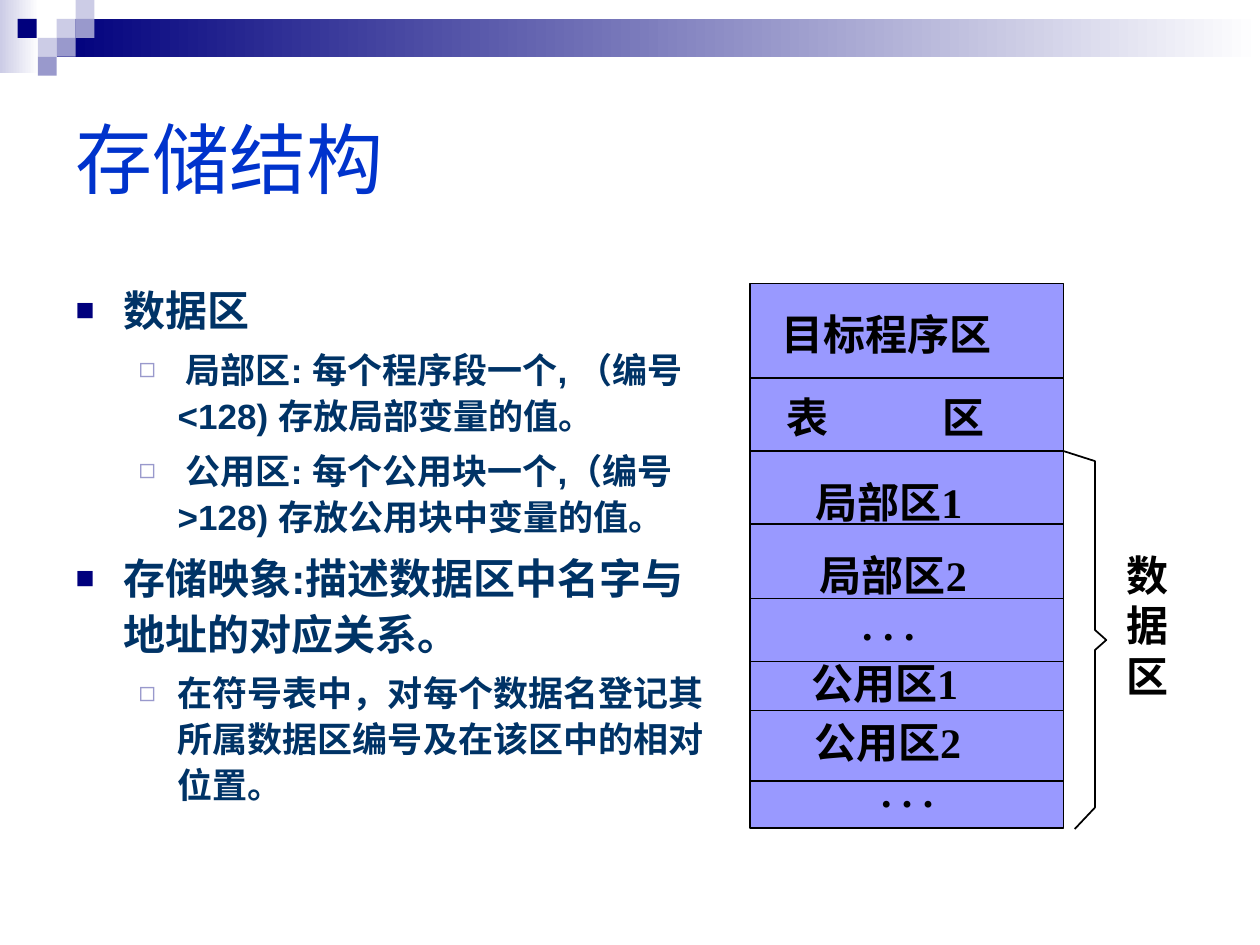
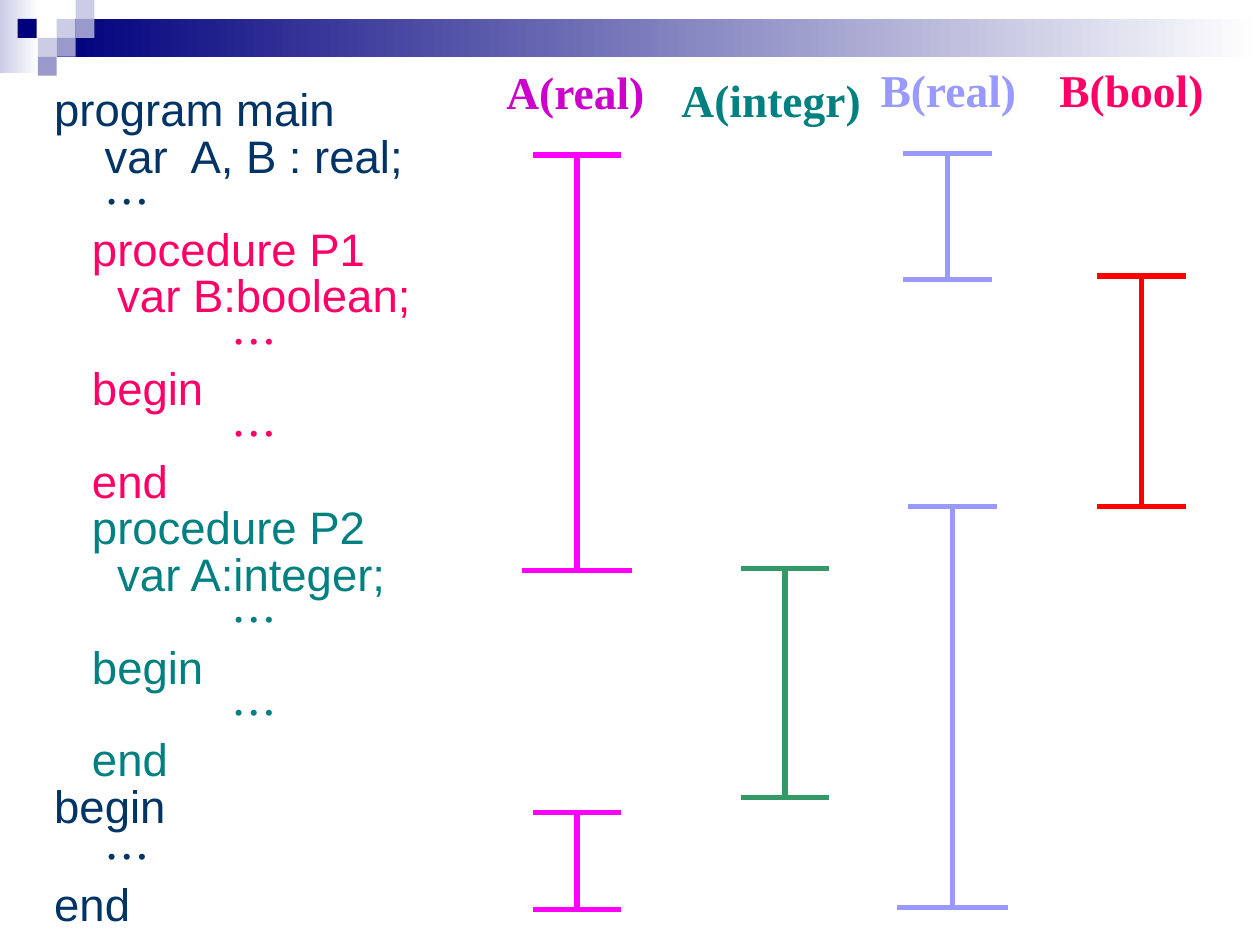
from typing import NamedTuple

from lxml import etree
from pptx import Presentation
from pptx.dml.color import RGBColor
from pptx.enum.shapes import MSO_CONNECTOR, MSO_SHAPE
from pptx.enum.text import MSO_ANCHOR, MSO_AUTO_SIZE, PP_ALIGN
from pptx.oxml.ns import qn
from pptx.util import Inches, Pt

RECTANGLE = MSO_SHAPE.RECTANGLE
STRAIGHT = MSO_CONNECTOR.STRAIGHT
LEFT, CENTER = PP_ALIGN.LEFT, PP_ALIGN.CENTER
MIDDLE, TOP = MSO_ANCHOR.MIDDLE, MSO_ANCHOR.TOP
NO_FIT, GROW = MSO_AUTO_SIZE.NONE, MSO_AUTO_SIZE.SHAPE_TO_FIT_TEXT

SANS, SERIF, CJK = "Arial", "Times New Roman", "Noto Sans CJK SC"
NAVY, PALE, LAVENDER, WHITE = "00007D", "CCCCE6", "9999CC", "FFFFFF"
TITLE_BLUE, INK, BLACK = "0033CC", "003366", "000000"
PERIWINKLE, MAGENTA, PINK, TEAL = "9999FF", "FF00FF", "FF0066", "008080"
PURPLE, RED, GREEN = "CC00CC", "FF0000", "339966"


class Box(NamedTuple):
    left: float
    top: float
    width: float
    height: float


class Tile(NamedTuple):
    left: float
    top: float
    color: str


class Label(NamedTuple):
    text: str
    box: Box
    color: str = BLACK
    size: int = 24
    align: PP_ALIGN = CENTER
    wrap: bool = False


class BulletLevel(NamedTuple):
    size: int
    margin: float
    hanging: float
    before: int
    mark: str
    mark_color: str
    mark_percent: int


class Scope(NamedTuple):
    center: float
    top: float
    bottom: float
    color: str
    foot_half: float = 0.35


HEADER_BANDS = [
    (Box(0, 0, 0.31, 0.58), PALE),
    (Box(0.45, 0.15, 9.55, 0.3), NAVY),
]
HEADER_TILES = [
    Tile(0.45, 0.15, PALE), Tile(0.6, 0, PALE), Tile(0.6, 0.15, LAVENDER),
    Tile(0.3, 0.3, PALE), Tile(0.14, 0.15, NAVY), Tile(0.45, 0.3, LAVENDER),
    Tile(0.3, 0.45, LAVENDER),
]
TILE_SIZE = 0.15

LEVELS = [
    BulletLevel(24, 0.38, 0.38, 6, "■", NAVY, 75),
    BulletLevel(20, 0.81, 0.31, 5, "◻", LAVENDER, 80),
]
STORAGE_POINTS = [
    (0, "数据区"),
    (1, " 局部区: 每个程序段一个, （编号<128) 存放局部变量的值。"),
    (1, " 公用区: 每个公用块一个,（编号>128) 存放公用块中变量的值。"),
    (0, "存储映象:描述数据区中名字与地址的对应关系。"),
    (1, "在符号表中，对每个数据名登记其所属数据区编号及在该区中的相对位置。"),
]

MEMORY = Box(5.95, 2.25, 2.49, 4.32)
REGION_BORDERS = [3, 3.58, 4.16, 4.75, 5.25, 5.64, 6.2]
TABLE_REGION_TAB = 1.24
REGION_LABELS = [
    Label("目标程序区", Box(6.1, 2.4, 1.87, 0.5)),
    Label("表\t区", Box(6.14, 3.06, 1.78, 0.5), align=LEFT, wrap=True),
    Label("局部区1", Box(6.18, 3.73, 1.75, 0.5), wrap=True),
    Label("局部区2", Box(6.26, 4.31, 1.66, 0.5), wrap=True),
    Label(". . .", Box(6.74, 4.7, 0.62, 0.5)),
    Label("公用区1", Box(6.34, 5.17, 1.66, 0.5), align=LEFT, wrap=True),
    Label("公用区2", Box(6.1, 5.64, 1.89, 0.5), wrap=True),
    Label(". . .", Box(6.89, 6.03, 0.62, 0.5)),
    Label("数\n据\n区", Box(8.84, 4.31, 0.54, 1.3), align=LEFT),
]
BRACE_POINTS = [(8.44, 3.58), (8.69, 3.66), (8.69, 5), (8.78, 5.08),
                (8.69, 5.16), (8.69, 6.41), (8.53, 6.58)]

PROGRAM_SECTIONS = [
    (INK, ["program main", "    var  A, B : real;", "    …"]),
    (PINK, ["   procedure P1", "     var B:boolean;", "              …",
            "   begin", "              …", "   end"]),
    (TEAL, ["   procedure P2", "     var A:integer;", "              …",
            "   begin", "              …", "   end"]),
    (INK, ["begin", "    …", "end"]),
]
VARIABLE_LABELS = [
    Label("A(real)", Box(3.92, 0.46, 1.4, 0.54), PURPLE, 26, LEFT, True),
    Label("B(real)", Box(6.89, 0.44, 1.4, 0.54), PERIWINKLE, 26, LEFT, True),
    Label("B(bool)", Box(8.31, 0.44, 1.5, 0.54), PINK, 26, LEFT, True),
    Label("A(integr)", Box(5.31, 0.52, 1.75, 0.54), TEAL, 26, LEFT, True),
]
SCOPE_HALF = 0.35
SCOPES = [
    Scope(4.58, 1.23, 4.53, MAGENTA, 0.44),
    Scope(4.58, 6.45, 7.22, MAGENTA),
    Scope(7.52, 1.22, 2.22, PERIWINKLE),
    Scope(7.56, 4.02, 7.2, PERIWINKLE, 0.44),
    Scope(9.06, 2.19, 4.02, RED),
    Scope(6.23, 4.51, 6.33, GREEN),
]


def rgb(color: str) -> RGBColor:
    """Turn a hex string into a colour."""
    return RGBColor.from_string(color)


def inches(box: Box) -> list:
    """Give the four lengths of a box."""
    return [Inches(value) for value in box]


def add_rectangle(shapes, box: Box):
    """Add a rectangle without shadow or outline."""
    rectangle = shapes.add_shape(RECTANGLE, *inches(box))
    rectangle.shadow.inherit = False
    rectangle.line.fill.background()
    return rectangle


def add_line(shapes, start: tuple, end: tuple, color: str, width: float) -> None:
    """Draw a straight line without shadow."""
    points = [Inches(value) for value in (*start, *end)]
    line = shapes.add_connector(STRAIGHT, *points)
    line.line.color.rgb = rgb(color)
    line.line.width = Pt(width)
    etree.SubElement(line._element.spPr, qn("a:effectLst"))


def add_run(paragraph, text: str, font: str, size: int, color: str, bold: bool = False) -> None:
    """Add one formatted run."""
    run = paragraph.add_run()
    run.text = text
    run.font.size = Pt(size)
    run.font.bold = bold
    run.font.color.rgb = rgb(color)
    run.font.name = font
    etree.SubElement(run._r.get_or_add_rPr(), qn("a:ea"), typeface=CJK)


def next_paragraph(frame, index: int):
    """Return the first paragraph of a frame, or a new one."""
    return frame.add_paragraph() if index else frame.paragraphs[0]


def add_tab(paragraph, stop: float) -> None:
    """Give a paragraph a left tab stop."""
    tabs = etree.SubElement(paragraph._p.get_or_add_pPr(), qn("a:tabLst"))
    etree.SubElement(tabs, qn("a:tab"), pos=str(Inches(stop)), algn="l")


def set_indent(paragraph, margin: float, hanging: float) -> None:
    """Set the left margin and the hanging indent."""
    properties = paragraph._p.get_or_add_pPr()
    properties.set("marL", str(Inches(margin)))
    properties.set("indent", str(-Inches(hanging)))


def add_bullet(paragraph, level: BulletLevel) -> None:
    """Give a paragraph the bullet of its level."""
    properties = paragraph._p.get_or_add_pPr()
    color = etree.SubElement(properties, qn("a:buClr"))
    etree.SubElement(color, qn("a:srgbClr"), val=level.mark_color)
    etree.SubElement(properties, qn("a:buSzPct"), val=str(level.mark_percent * 1000))
    etree.SubElement(properties, qn("a:buFont"), typeface=SANS)
    etree.SubElement(properties, qn("a:buChar"), char=level.mark)


def place(placeholder, box: Box, anchor: MSO_ANCHOR):
    """Move a placeholder and return its text frame."""
    placeholder.left, placeholder.top, placeholder.width, placeholder.height = inches(box)
    frame = placeholder.text_frame
    frame.auto_size = NO_FIT
    frame.word_wrap = True
    frame.vertical_anchor = anchor
    return frame


def add_label(slide, label: Label) -> None:
    """Add a bold serif label, one paragraph a line."""
    frame = slide.shapes.add_textbox(*inches(label.box)).text_frame
    frame.word_wrap = label.wrap
    frame.auto_size = GROW
    for index, text in enumerate(label.text.split("\n")):
        paragraph = next_paragraph(frame, index)
        if "\t" in text:
            add_tab(paragraph, TABLE_REGION_TAB)
        paragraph.alignment = label.align
        add_run(paragraph, text, SERIF, label.size, label.color, True)


def add_header(slide) -> None:
    """Draw the gradient bands and the tiles at the top."""
    shapes = slide.shapes.add_group_shape().shapes
    for box, color in HEADER_BANDS:
        fill = add_rectangle(shapes, box).fill
        fill.gradient()
        fill.gradient_angle = 0
        for stop, stop_color in zip(fill.gradient_stops, (color, WHITE)):
            stop.color.rgb = rgb(stop_color)
    for tile in HEADER_TILES:
        square = add_rectangle(shapes, Box(tile.left, tile.top, TILE_SIZE, TILE_SIZE))
        square.fill.solid()
        square.fill.fore_color.rgb = rgb(tile.color)


def add_memory_map(slide) -> None:
    """Draw the memory block, its regions and the brace."""
    block = add_rectangle(slide.shapes, MEMORY)
    block.fill.solid()
    block.fill.fore_color.rgb = rgb(PERIWINKLE)
    block.line.color.rgb = rgb(BLACK)
    block.line.width = Pt(1)
    right = MEMORY.left + MEMORY.width
    for border in REGION_BORDERS:
        add_line(slide.shapes, (MEMORY.left, border), (right, border), BLACK, 1)
    start, *others = [(Inches(x), Inches(y)) for x, y in BRACE_POINTS]
    outline = slide.shapes.build_freeform(*start)
    outline.add_line_segments(others, close=False)
    brace = outline.convert_to_shape()
    brace.shadow.inherit = False
    brace.fill.background()
    brace.line.color.rgb = rgb(BLACK)
    brace.line.width = Pt(1)
    for label in REGION_LABELS:
        add_label(slide, label)


def add_scope(slide, scope: Scope) -> None:
    """Draw the range of lines in which a variable is valid."""
    shapes = slide.shapes.add_group_shape().shapes
    for y, half in ((scope.top, SCOPE_HALF), (scope.bottom, scope.foot_half)):
        add_line(shapes, (scope.center - half, y), (scope.center + half, y), scope.color, 3)
    add_line(shapes, (scope.center, scope.top), (scope.center, scope.bottom), scope.color, 3)


def build_storage_slide(slide) -> None:
    """Build the slide on the storage structure."""
    add_header(slide)
    title = place(slide.shapes.title, Box(0.5, 0.5, 9, 1.5), MIDDLE).paragraphs[0]
    title.alignment = LEFT
    add_run(title, "存储结构", SANS, 44, TITLE_BLUE)
    frame = place(slide.placeholders[1], Box(0.5, 2.17, 5.21, 4.81), TOP)
    for index, (depth, text) in enumerate(STORAGE_POINTS):
        level = LEVELS[depth]
        paragraph = next_paragraph(frame, index)
        add_bullet(paragraph, level)
        paragraph.level = depth
        set_indent(paragraph, level.margin, level.hanging)
        paragraph.line_spacing = 1.1
        paragraph.space_before = Pt(level.before if index else 0)
        add_run(paragraph, text, SANS, level.size, INK, True)
    add_memory_map(slide)


def build_scope_slide(slide) -> None:
    """Build the slide on the scopes of variables."""
    add_header(slide)
    title = slide.shapes.title._element
    title.getparent().remove(title)
    frame = place(slide.placeholders[1], Box(0.33, 0.68, 3.83, 6.85), TOP)
    lines = [(color, line) for color, section in PROGRAM_SECTIONS for line in section]
    for index, (color, line) in enumerate(lines):
        paragraph = next_paragraph(frame, index)
        etree.SubElement(paragraph._p.get_or_add_pPr(), qn("a:buNone"))
        set_indent(paragraph, 0.38, 0.38)
        paragraph.line_spacing = 0.9 if index == len(lines) - 2 else 0.8
        paragraph.space_before = Pt(1.6 if index else 0)
        code, ellipsis, _ = line.partition("…")
        add_run(paragraph, code, SANS, 26, color)
        if ellipsis:
            add_run(paragraph, ellipsis, CJK, 26, color)
    for label in VARIABLE_LABELS:
        add_label(slide, label)
    for scope in SCOPES:
        add_scope(slide, scope)


def main() -> None:
    """Build and save the two slides."""
    deck = Presentation()
    deck.slide_width, deck.slide_height = Inches(10), Inches(7.5)
    for build in (build_storage_slide, build_scope_slide):
        build(deck.slides.add_slide(deck.slide_layouts[1]))
    deck.save("out.pptx")


if __name__ == "__main__":
    main()
